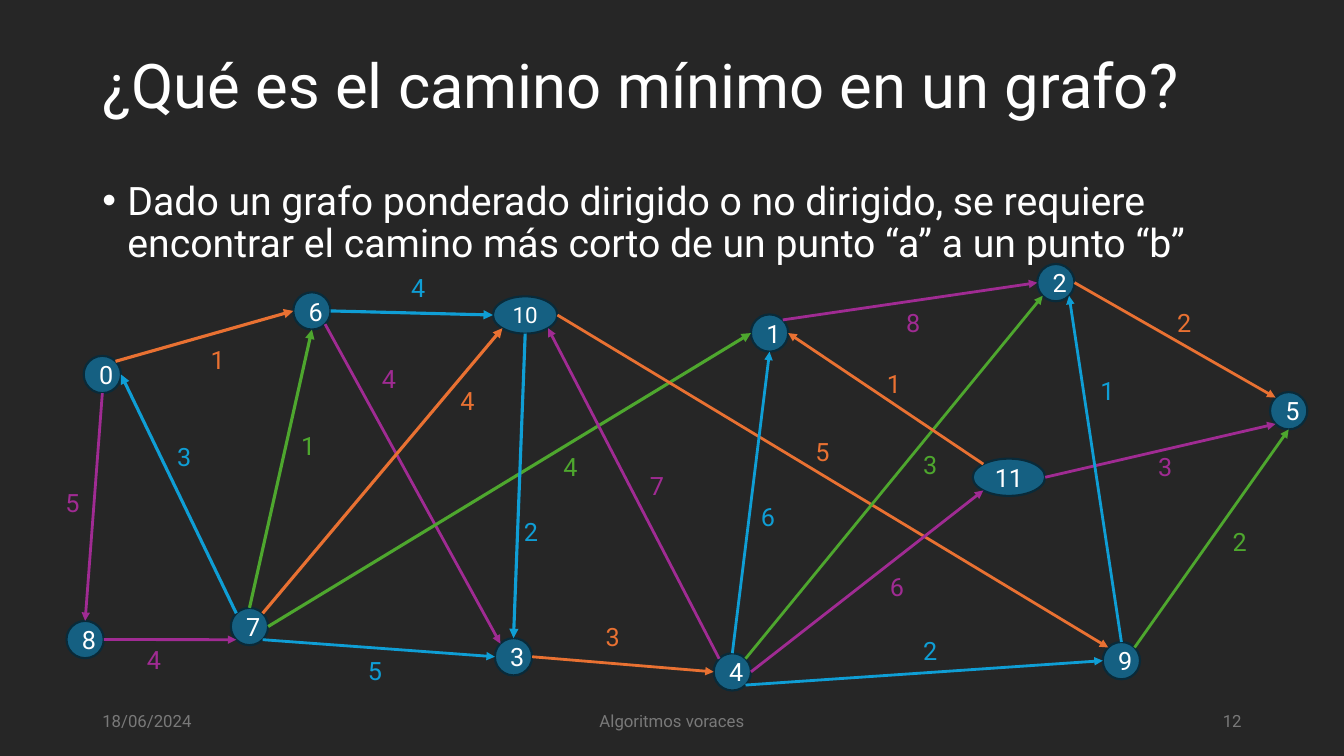
from math import cos, radians, sin

from lxml import etree
from pptx import Presentation
from pptx.dml.color import RGBColor
from pptx.enum.shapes import MSO_CONNECTOR, MSO_SHAPE
from pptx.enum.text import MSO_ANCHOR, MSO_AUTO_SIZE, PP_ALIGN
from pptx.oxml.ns import qn
from pptx.util import Pt

OVAL = MSO_SHAPE.OVAL
STRAIGHT = MSO_CONNECTOR.STRAIGHT
TOP, MIDDLE = MSO_ANCHOR.TOP, MSO_ANCHOR.MIDDLE
FIT_SHAPE = MSO_AUTO_SIZE.SHAPE_TO_FIT_TEXT
LEFT, CENTER, RIGHT = PP_ALIGN.LEFT, PP_ALIGN.CENTER, PP_ALIGN.RIGHT

WHITE, GRAY = "FFFFFF", "797979"
ORANGE, PURPLE, BLUE, GREEN = "E97132", "A02B93", "0F9ED5", "4EA72E"
NODE_SIZE = 26.64
ANGLES = {"E": 0, "SE": 45, "S": 90, "SW": 135, "W": 180, "NW": 225, "N": 270, "NE": 315}


def rgb(code):
    return RGBColor.from_string(code)


def write(shape, text, size, color, align=LEFT, anchor=TOP, wrap=True):
    frame = shape.text_frame
    frame.word_wrap = wrap
    frame.vertical_anchor = anchor
    paragraph = frame.paragraphs[0]
    paragraph.alignment = align
    run = paragraph.add_run()
    run.text = text
    run.font.name = "Roboto"
    run.font.size = Pt(size)
    run.font.color.rgb = rgb(color)
    return paragraph


prs = Presentation()
prs.slide_width, prs.slide_height = Pt(960), Pt(540)
slide = prs.slides.add_slide(prs.slide_layouts[6])
slide.background.fill.solid()
slide.background.fill.fore_color.rgb = rgb("262626")
shapes = slide.shapes

title = shapes.add_textbox(Pt(66), Pt(10.8), Pt(828), Pt(104.4))
heading = write(title, "¿Qué es el camino mínimo en un grafo?", 44, WHITE, anchor=MIDDLE)
heading.line_spacing = 0.9

body = shapes.add_textbox(Pt(66), Pt(126), Pt(828), Pt(342.7))
definition = write(
    body,
    "Dado un grafo ponderado dirigido o no dirigido, se requiere "
    "encontrar el camino más corto de un punto “a” a un punto “b”",
    28, WHITE)
definition.line_spacing = 0.9
definition.space_before = Pt(10)
bullet_props = definition._p.get_or_add_pPr()
bullet_props.set("marL", str(Pt(18)))
bullet_props.set("indent", str(-Pt(18)))
etree.SubElement(bullet_props, qn("a:buFont")).set("typeface", "Arial")
etree.SubElement(bullet_props, qn("a:buChar")).set("char", "•")

nodes = {
    "0": (59.8, 254.2, NODE_SIZE, 18),
    "6": (209.5, 208.8, NODE_SIZE, 18),
    "7": (164.9, 434.2, NODE_SIZE, 18),
    "8": (47.5, 443.5, NODE_SIZE, 18),
    "10": (352.1, 211.7, 46.1, 16),
    "3": (353.5, 455.8, NODE_SIZE, 18),
    "1": (536.4, 224.6, NODE_SIZE, 18),
    "4": (509.8, 466.6, NODE_SIZE, 18),
    "2": (740.9, 188.6, NODE_SIZE, 18),
    "11": (694.8, 327.6, 51.8, 18),
    "9": (787.7, 458.6, NODE_SIZE, 18),
    "5": (907.2, 280.1, NODE_SIZE, 18),
}
for number, (left, top, width, size) in nodes.items():
    node = shapes.add_shape(OVAL, Pt(left), Pt(top), Pt(width), Pt(NODE_SIZE))
    node.shadow.inherit = False
    node.fill.solid()
    node.fill.fore_color.rgb = rgb("156082")
    node.line.color.rgb = rgb("092A39")
    node.line.width = Pt(1.5)
    write(node, number, size, WHITE, CENTER, MIDDLE)

edges = [
    ("0", "NE", "6", "W", ORANGE, 2.25, "1", 143.3, 242.6),
    ("0", "S", "8", "N", PURPLE, 2, "5", 39.6, 344.2),
    ("7", "NW", "0", "E", BLUE, 2.25, "3", 119.5, 311.8),
    ("6", "SE", "3", "NW", PURPLE, 2, "4", 265.7, 255.6),
    ("8", "E", "7", "SW", PURPLE, 2, "4", 97.9, 456.5),
    ("7", "E", "1", "W", GREEN, 2.25, "4", 395.3, 319),
    ("10", "E", "9", "NW", ORANGE, 2, "5", 575.3, 308.2),
    ("4", "N", "1", "S", BLUE, 2, "6", 536.4, 354.2),
    ("6", "E", "10", "W", BLUE, 2.25, "4", 286.6, 190.8),
    ("3", "E", "4", "W", ORANGE, 2, "3", 425.5, 440.6),
    ("4", "NW", "10", "SE", PURPLE, 2, "7", 457.2, 332.6),
    ("4", "NE", "2", "SW", GREEN, 2, "3", 652.3, 317.5),
    ("1", "NE", "2", "W", PURPLE, 2, "8", 640.1, 216),
    ("2", "E", "5", "NW", ORANGE, 2, "2", 833.8, 216),
    ("11", "E", "5", "SW", PURPLE, 2, "3", 820.1, 319),
    ("4", "E", "11", "SW", PURPLE, 2, "6", 628.6, 404.6),
    ("4", "SE", "9", "W", BLUE, 2, "2", 652.3, 450),
    ("9", "NE", "5", "S", GREEN, 2, "2", 873.4, 372.2),
    ("9", "N", "2", "SE", BLUE, 2, "1", 779, 264.2),
    ("7", "SE", "3", "W", BLUE, 2, "5", 255.6, 464.4),
    ("7", "N", "6", "S", GREEN, 2.25, "1", 208.1, 303.8),
    ("7", "NE", "10", "SW", ORANGE, 2.25, "4", 321.8, 271.4),
    ("10", "S", "3", "N", BLUE, 2.25, "2", 367.2, 365),
    ("11", "NW", "1", "E", ORANGE, 2, "1", 626.4, 259.2),
]
for source, exit_side, target, entry_side, color, thickness, *_ in edges:
    ends = []
    for number, side in ((source, exit_side), (target, entry_side)):
        left, top, width, _ = nodes[number]
        angle = radians(ANGLES[side])
        ends.append(Pt(left + width / 2 * (1 + cos(angle))))
        ends.append(Pt(top + NODE_SIZE / 2 * (1 + sin(angle))))
    edge = shapes.add_connector(STRAIGHT, *ends)
    edge.line.color.rgb = rgb(color)
    edge.line.width = Pt(thickness)
    etree.SubElement(edge.line._get_or_add_ln(), qn("a:tailEnd")).set("type", "triangle")
    etree.SubElement(edge._element.spPr, qn("a:effectLst"))

for *_, color, _, weight, left, top in edges:
    label = shapes.add_textbox(Pt(left), Pt(top), Pt(24), Pt(29))
    write(label, weight, 18, color, wrap=False)
    label.text_frame.auto_size = FIT_SHAPE

footers = [
    ("18/06/2024", 66, 216, LEFT),
    ("Algoritmos voraces", 318, 324, CENTER),
    ("12", 678, 216, RIGHT),
]
for text, left, width, align in footers:
    footer = shapes.add_textbox(Pt(left), Pt(500.5), Pt(width), Pt(28.8))
    write(footer, text, 12, GRAY, align, MIDDLE)

prs.save("out.pptx")
